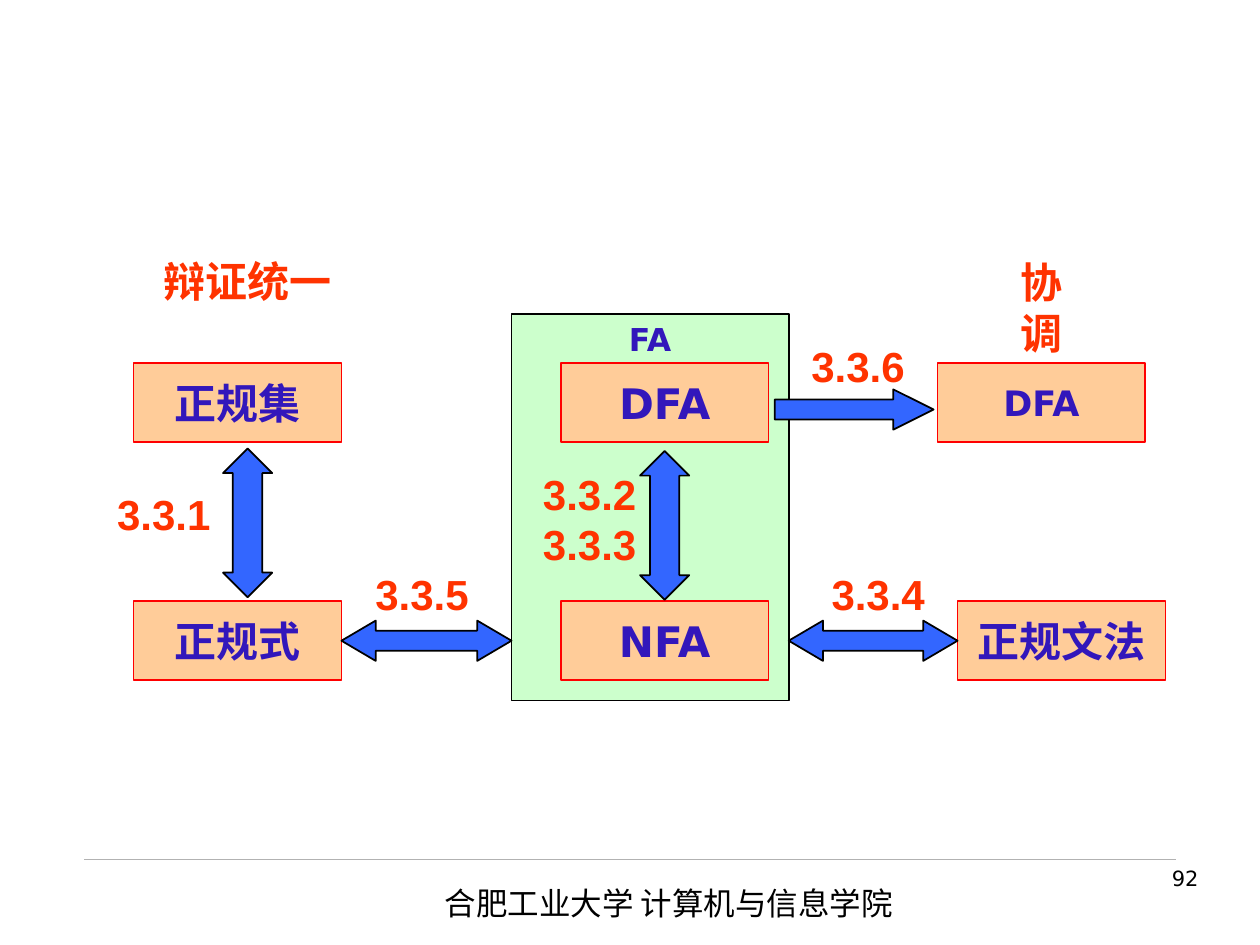
"""Build the slide relating regular sets, expressions, grammars and finite automata."""
from lxml import etree
from pptx import Presentation
from pptx.dml.color import RGBColor
from pptx.enum.shapes import MSO_CONNECTOR, MSO_SHAPE
from pptx.enum.text import MSO_ANCHOR, PP_ALIGN
from pptx.oxml.ns import qn
from pptx.util import Inches, Pt

RECT = MSO_SHAPE.RECTANGLE
BOTH_WAYS = MSO_SHAPE.LEFT_RIGHT_ARROW
UP_DOWN = MSO_SHAPE.UP_DOWN_ARROW
ONWARD = MSO_SHAPE.RIGHT_ARROW
STRAIGHT = MSO_CONNECTOR.STRAIGHT
LEFT, CENTER, RIGHT = PP_ALIGN.LEFT, PP_ALIGN.CENTER, PP_ALIGN.RIGHT
TOP, MIDDLE = MSO_ANCHOR.TOP, MSO_ANCHOR.MIDDLE

COLORS = {"panel": "CCFFCC", "node": "FFCC99", "node_edge": "FF0000",
          "arrow": "3366FF", "ink": "000000", "term": "3217BB",
          "accent": "FF3300", "rule": "B2B2B2"}
SANS, LABEL_FONT, CJK = "DejaVu Sans", "Arial", "Noto Sans CJK SC"

NODE_W, NODE_H = 1.65, 0.63
COLS = {"regular": 1.06, "automaton": 4.45, "minimal": 7.44, "grammar": 7.6}
ROWS = {"upper": 2.88, "lower": 4.77}
PANEL = (4.06, 2.49, 2.2, 3.07)
PANEL_RIGHT = PANEL[0] + PANEL[2]
ARROW_H, UPDOWN_W, UPDOWN_H = 0.32, 0.39, 1.18
LABEL_H = 0.5

NODES = [("正规集", "regular", "upper", 24), ("正规式", "regular", "lower", 24),
         ("DFA", "automaton", "upper", 24), ("NFA", "automaton", "lower", 24),
         ("正规文法", "grammar", "lower", 24), ("DFA", "minimal", "upper", 20)]

LOWER_ARROW_Y = ROWS["lower"] + (NODE_H - ARROW_H) / 2
ARROWS = [
    (BOTH_WAYS, COLS["regular"] + NODE_W, LOWER_ARROW_Y,
     PANEL[0] - COLS["regular"] - NODE_W, ARROW_H, 0.85),
    (BOTH_WAYS, PANEL_RIGHT, LOWER_ARROW_Y,
     COLS["grammar"] - PANEL_RIGHT, ARROW_H, 0.85),
    (UP_DOWN, 1.77, 3.56, UPDOWN_W, UPDOWN_H, 0.6),
    (UP_DOWN, 5.08, 3.58, UPDOWN_W, UPDOWN_H, 0.6),
    (ONWARD, 6.15, 3.09, 1.26, ARROW_H, 1.0),
]

LABELS = [("3.3.1", 0.83, 3.83, 0.94), ("3.3.2\n3.3.3", 4.21, 3.67, 0.94),
          ("3.3.4", 6.5, 4.46, 0.94), ("3.3.5", 2.88, 4.46, 0.94),
          ("3.3.6", 6.34, 2.65, 0.94), ("协调", 7.84, 1.99, 0.86),
          ("辩证统一", 1.2, 1.98, 1.53)]

FOOTER = ("合肥工业大学 计算机与信息学院", (3.43, 6.97, 4.72, 0.4))
PAGE = ("92", (7.44, 6.82, 2.17, 0.52))


def rgb(name):
    return RGBColor.from_string(COLORS[name])


def write(shape, text, size, font, color, bold=True, align=CENTER,
          anchor=TOP, wrap=False):
    frame = shape.text_frame
    frame.text = text
    frame.word_wrap = wrap
    frame.vertical_anchor = anchor
    for paragraph in frame.paragraphs:
        paragraph.alignment = align
        for run in paragraph.runs:
            run.font.size = Pt(size)
            run.font.name = font
            run.font.bold = bold
            run.font.color.rgb = rgb(color)


def add_shape(slide, kind, place, fill, edge):
    shape = slide.shapes.add_shape(kind, *map(Inches, place))
    shape.shadow.inherit = False
    shape.fill.solid()
    shape.fill.fore_color.rgb = rgb(fill)
    shape.line.color.rgb = rgb(edge)
    shape.line.width = Pt(1)
    return shape


def add_text(slide, place, text, *style, **options):
    write(slide.shapes.add_textbox(*map(Inches, place)), text, *style, **options)


def main():
    deck = Presentation()
    deck.slide_width, deck.slide_height = Inches(10), Inches(7.5)
    slide = deck.slides.add_slide(deck.slide_layouts[6])

    rule = slide.shapes.add_connector(
        STRAIGHT, *map(Inches, (0.67, 6.82, 9.33, 6.82)))
    rule.line.color.rgb = rgb("rule")
    rule.line.width = Pt(0.25)
    etree.SubElement(rule.line._get_or_add_ln().getparent(), qn("a:effectLst"))

    add_text(slide, FOOTER[1], FOOTER[0], 18, CJK, "ink",
             bold=False, align=LEFT, wrap=True)
    add_text(slide, PAGE[1], PAGE[0], 12, SANS, "ink",
             bold=False, align=RIGHT, wrap=True)

    panel = add_shape(slide, RECT, PANEL, "panel", "ink")
    write(panel, "FA", 18, SANS, "term")

    for term, col, row, size in NODES:
        place = (COLS[col], ROWS[row], NODE_W, NODE_H)
        node = add_shape(slide, RECT, place, "node", "node_edge")
        write(node, term, size, SANS, "term", anchor=MIDDLE)

    for kind, x, y, width, height, head in ARROWS:
        arrow = add_shape(slide, kind, (x, y, width, height), "arrow", "ink")
        arrow.adjustments[0] = 0.5
        arrow.adjustments[1] = head

    for text, x, y, width in LABELS:
        height = LABEL_H + 0.4 * text.count("\n")
        add_text(slide, (x, y, width, height), text, 24, LABEL_FONT, "accent")

    deck.save("out.pptx")


if __name__ == "__main__":
    main()
